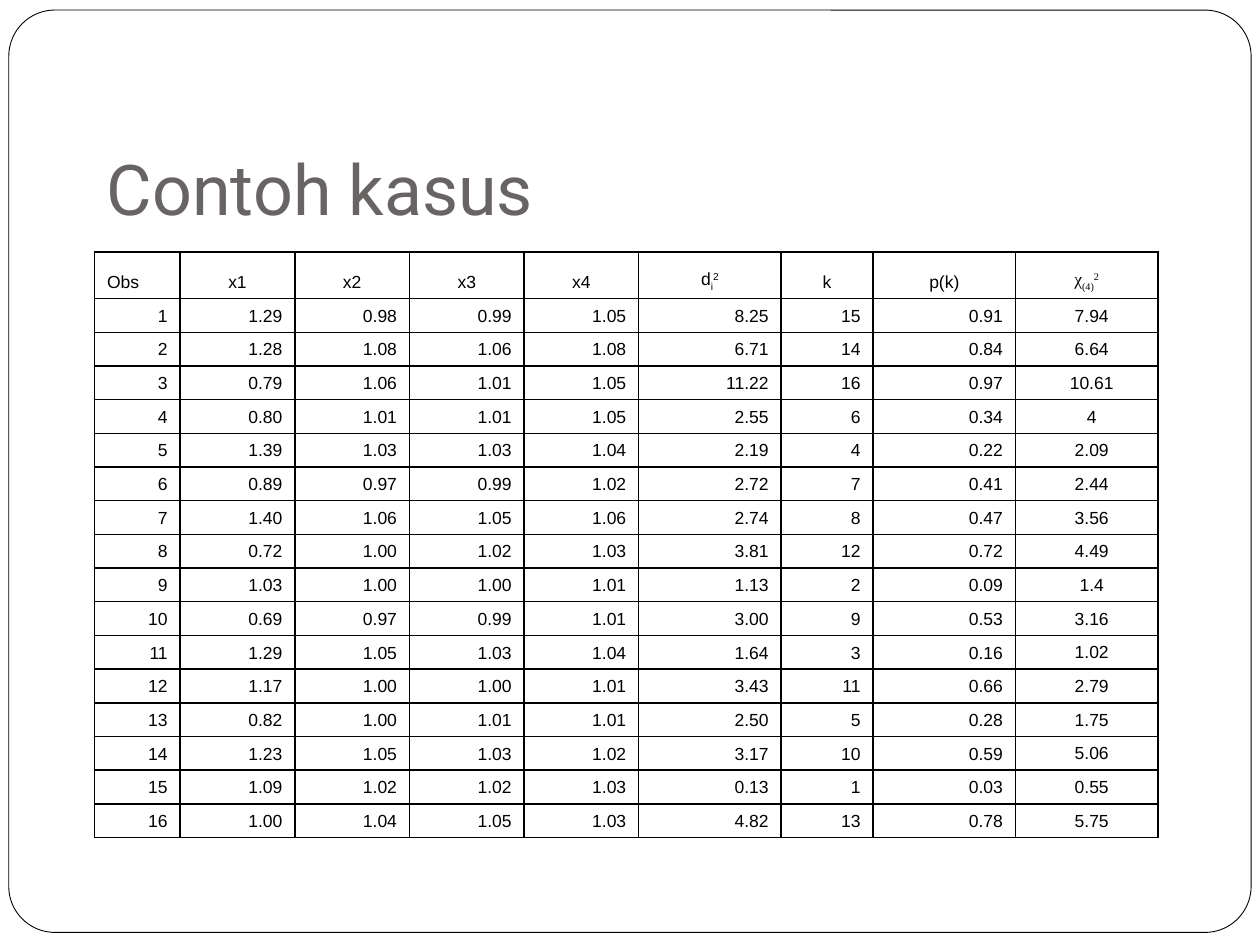
"""Build the slide with the case-study table of squared distances and chi-square quantiles."""
from dataclasses import dataclass

from lxml.etree import SubElement
from pptx import Presentation
from pptx.dml.color import RGBColor
from pptx.enum.shapes import MSO_SHAPE
from pptx.enum.text import MSO_ANCHOR, PP_ALIGN
from pptx.oxml.ns import qn
from pptx.slide import Slide
from pptx.table import _Cell
from pptx.text.text import _Run
from pptx.util import Inches, Pt


@dataclass(frozen=True)
class Theme:
    paper: RGBColor = RGBColor(0xFF, 0xFF, 0xFF)
    ink: RGBColor = RGBColor(0, 0, 0)
    title: RGBColor = RGBColor(0x69, 0x64, 0x64)
    title_font: str = "Roboto"
    table_font: str = "Arial"
    symbol_font: str = "Times New Roman"
    title_size: Pt = Pt(40)
    table_size: Pt = Pt(10)
    frame_line: Pt = Pt(0.5)
    border: Pt = Pt(1)


@dataclass(frozen=True)
class Column:
    heading: str
    width: float
    subscript: str = ""
    superscript: str = ""
    font: str = "Arial"
    heading_alignment: PP_ALIGN = PP_ALIGN.CENTER


THEME = Theme()
COLUMNS = (
    Column("Obs", 0.68, heading_alignment=PP_ALIGN.LEFT),
    *(Column(f"x{number}", 0.91) for number in range(1, 5)),
    Column("d", 1.13, "i", "2"),
    Column("k", 0.73),
    Column("p(k)", 1.13),
    Column("χ", 1.13, "(4)", "2", THEME.symbol_font),
)
HEADER_HEIGHT = 0.37
ROW_HEIGHT = 0.23
OBSERVATIONS = """
1.29 0.98 0.99 1.05 8.25 15 0.91 7.94
1.28 1.08 1.06 1.08 6.71 14 0.84 6.64
0.79 1.06 1.01 1.05 11.22 16 0.97 10.61
0.80 1.01 1.01 1.05 2.55 6 0.34 4
1.39 1.03 1.03 1.04 2.19 4 0.22 2.09
0.89 0.97 0.99 1.02 2.72 7 0.41 2.44
1.40 1.06 1.05 1.06 2.74 8 0.47 3.56
0.72 1.00 1.02 1.03 3.81 12 0.72 4.49
1.03 1.00 1.00 1.01 1.13 2 0.09 1.4
0.69 0.97 0.99 1.01 3.00 9 0.53 3.16
1.29 1.05 1.03 1.04 1.64 3 0.16 1.02
1.17 1.00 1.00 1.01 3.43 11 0.66 2.79
0.82 1.00 1.01 1.01 2.50 5 0.28 1.75
1.23 1.05 1.03 1.02 3.17 10 0.59 5.06
1.09 1.02 1.02 1.03 0.13 1 0.03 0.55
1.00 1.04 1.05 1.03 4.82 13 0.78 5.75
""".strip().splitlines()


def format_run(run: _Run, font: str, size: Pt, color: RGBColor) -> None:
    run.font.name = font
    run.font.size = size
    run.font.color.rgb = color


def add_frame(slide: Slide) -> None:
    frame = slide.shapes.add_shape(
        MSO_SHAPE.ROUNDED_RECTANGLE, Inches(0.07), Inches(0.08), Inches(9.86), Inches(7.32)
    )
    frame.adjustments[0] = 0.05
    frame.shadow.inherit = False
    frame.fill.solid()
    frame.fill.fore_color.rgb = THEME.paper
    frame.line.color.rgb = THEME.ink
    frame.line.width = THEME.frame_line


def add_title(slide: Slide, text: str) -> None:
    title = slide.shapes.add_textbox(Inches(0.75), Inches(0.17), Inches(7.51), Inches(1.75))
    text_frame = title.text_frame
    text_frame.word_wrap = True
    text_frame.vertical_anchor = MSO_ANCHOR.BOTTOM
    text_frame.margin_bottom = Inches(0.1)
    text_frame.text = text
    format_run(text_frame.paragraphs[0].runs[0], THEME.title_font, THEME.title_size, THEME.title)


def style_cell(cell: _Cell) -> None:
    cell.vertical_anchor = MSO_ANCHOR.BOTTOM
    properties = cell._tc.get_or_add_tcPr()
    for side in ("lnL", "lnR", "lnT", "lnB"):
        line = SubElement(properties, qn(f"a:{side}"), w=str(THEME.border))
        fill = SubElement(line, qn("a:solidFill"))
        SubElement(fill, qn("a:srgbClr"), val=str(THEME.ink))
    cell.fill.background()


def fill_heading(cell: _Cell, column: Column) -> None:
    style_cell(cell)
    paragraph = cell.text_frame.paragraphs[0]
    paragraph.alignment = column.heading_alignment
    parts = ((column.heading, 0), (column.subscript, -25000), (column.superscript, 30000))
    for text, baseline in parts:
        if text:
            run = paragraph.add_run()
            run.text = text
            format_run(run, column.font, THEME.table_size, THEME.ink)
            run.font._element.set("baseline", str(baseline))


def fill_value(cell: _Cell, text: str, is_quantile: bool) -> None:
    style_cell(cell)
    cell.text_frame.text = text
    paragraph = cell.text_frame.paragraphs[0]
    paragraph.alignment = PP_ALIGN.CENTER if is_quantile else PP_ALIGN.RIGHT
    format_run(paragraph.runs[0], THEME.table_font, THEME.table_size, THEME.ink)
    if is_quantile:
        cell.vertical_anchor = MSO_ANCHOR.MIDDLE
        cell.margin_left = Inches(0.09)
        cell.margin_top = cell.margin_right = Inches(0.01)
        cell.margin_bottom = Inches(0)


def add_observation_table(slide: Slide) -> None:
    graphic_frame = slide.shapes.add_table(
        len(OBSERVATIONS) + 1, len(COLUMNS), Inches(0.75), Inches(2), Inches(8.42), Inches(4.63)
    )
    table = graphic_frame.table
    table.first_row = table.horz_banding = False
    for index, column in enumerate(COLUMNS):
        table.columns[index].width = Inches(column.width)
        fill_heading(table.cell(0, index), column)
    table.rows[0].height = Inches(HEADER_HEIGHT)
    for number, observation in enumerate(OBSERVATIONS, start=1):
        table.rows[number].height = Inches(ROW_HEIGHT)
        for index, text in enumerate((str(number), *observation.split())):
            fill_value(table.cell(number, index), text, index == len(COLUMNS) - 1)
    graphic_frame.height = Inches(4.63)


def main() -> None:
    presentation = Presentation()
    presentation.slide_width = Inches(10)
    presentation.slide_height = Inches(7.5)
    slide = presentation.slides.add_slide(presentation.slide_layouts[6])
    add_frame(slide)
    add_title(slide, "Contoh kasus")
    add_observation_table(slide)
    presentation.save("out.pptx")


if __name__ == "__main__":
    main()
